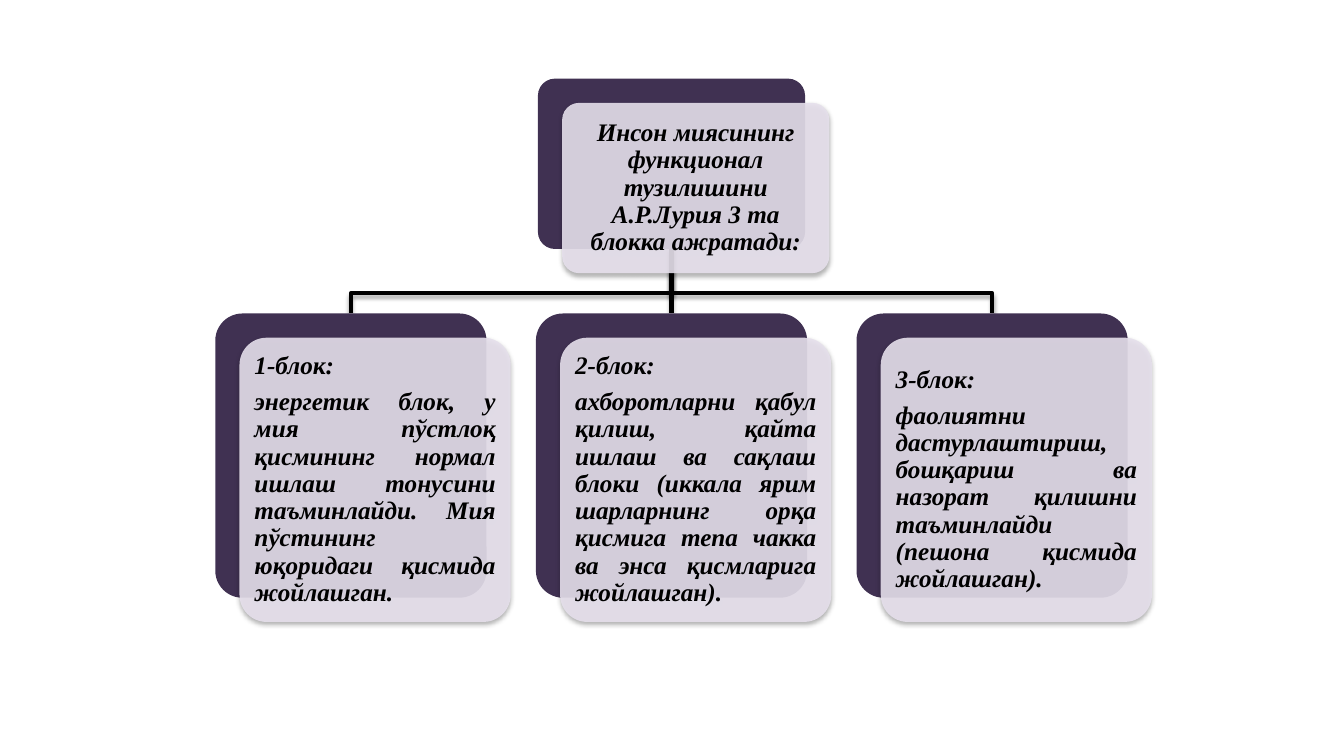
from lxml.etree import SubElement
from pptx import Presentation
from pptx.dml.color import RGBColor
from pptx.enum.shapes import MSO_CONNECTOR, MSO_SHAPE
from pptx.enum.text import MSO_ANCHOR, PP_ALIGN
from pptx.oxml.ns import qn
from pptx.util import Inches, Pt

BLACK = RGBColor(0x00, 0x00, 0x00)
PURPLE = RGBColor(0x40, 0x31, 0x52)
LILAC = RGBColor(0xE6, 0xE0, 0xEC)

CENTER = 6.66
BLOCK_STEP = 3.18
ROOT_TOP, ROOT_WIDTH, ROOT_HEIGHT = 0.78, 2.65, 1.69
BLOCK_TOP, BLOCK_WIDTH, BLOCK_HEIGHT = 3.11, 2.69, 2.82
BRANCH_Y = 2.91
CARD_OFFSET = 0.24

ROOT_TEXT = "Инсон миясининг функционал тузилишини А.Р.Лурия 3 та блокка ажратади:"
BLOCKS = [
    ["1-блок:",
     "энергетик блок, у мия пўстлоқ қисмининг нормал ишлаш тонусини "
     "таъминлайди. Мия пўстининг юқоридаги қисмида жойлашган."],
    ["2-блок:",
     "ахборотларни қабул қилиш, қайта ишлаш ва сақлаш блоки (иккала ярим "
     "шарларнинг орқа қисмига тепа чакка ва энса қисмларига жойлашган)."],
    ["3-блок:",
     "фаолиятни дастурлаштириш, бошқариш ва назорат қилишни таъминлайди "
     "(пешона қисмида жойлашган)."],
]


def set_shadow(shape, opacity=None, blur=0, distance=0):
    properties = shape._element.spPr
    effects = properties.find(qn("a:effectLst"))
    if effects is None:
        effects = SubElement(properties, qn("a:effectLst"))
    if opacity:
        shadow = SubElement(effects, qn("a:outerShdw"), blurRad=str(Pt(blur)),
                            dist=str(Pt(distance)), dir="5400000", rotWithShape="0")
        color = SubElement(shadow, qn("a:srgbClr"), val=str(BLACK))
        SubElement(color, qn("a:alpha"), val=str(opacity * 1000))


def style_line(line_shape):
    line_shape.line.color.rgb = BLACK
    line_shape.line.width = Pt(3)
    set_shadow(line_shape, 35, 3.1, 1.8)


def add_elbow(page, end_x):
    builder = page.shapes.build_freeform(Inches(CENTER), Inches(ROOT_TOP + ROOT_HEIGHT))
    corners = [(CENTER, BRANCH_Y), (end_x, BRANCH_Y), (end_x, BLOCK_TOP)]
    builder.add_line_segments([(Inches(x), Inches(y)) for x, y in corners], close=False)
    elbow = builder.convert_to_shape()
    elbow.fill.background()
    style_line(elbow)


def add_trunk(page):
    trunk = page.shapes.add_connector(
        MSO_CONNECTOR.STRAIGHT, Inches(CENTER), Inches(ROOT_TOP + ROOT_HEIGHT),
        Inches(CENTER), Inches(BLOCK_TOP))
    style_line(trunk)
    return trunk


def add_panel(page, left, top, width, height, color):
    panel = page.shapes.add_shape(MSO_SHAPE.ROUNDED_RECTANGLE, Inches(left),
                                  Inches(top), Inches(width), Inches(height))
    panel.adjustments[0] = 0.1
    panel.fill.solid()
    panel.fill.fore_color.rgb = color
    panel.line.fill.background()
    set_shadow(panel)
    return panel


def write_text(card, texts, alignment):
    frame = card.text_frame
    frame.word_wrap = True
    frame.vertical_anchor = MSO_ANCHOR.MIDDLE
    frame.margin_left = frame.margin_right = Inches(0.07)
    frame.margin_top = frame.margin_bottom = Inches(0.07)
    frame.text = "\n".join(texts)
    for para in frame.paragraphs:
        para.alignment = alignment
        para.line_spacing = 0.9
        para.space_after = Pt(6.3)
        for span in para.runs:
            span.font.name = "Times New Roman"
            span.font.size = Pt(18)
            span.font.bold = span.font.italic = True
            span.font.color.rgb = BLACK


def add_node(page, center, top, width, height, texts, alignment):
    left = center - width / 2
    back = add_panel(page, left, top, width, height, PURPLE)
    card = add_panel(page, left + CARD_OFFSET, top + CARD_OFFSET, width, height, LILAC)
    color = card._element.spPr.find(qn("a:solidFill"))[0]
    SubElement(color, qn("a:alpha"), val="90000")
    set_shadow(card, 32, 3.5, 2.2)
    write_text(card, texts, alignment)
    return back


def main():
    deck = Presentation()
    deck.slide_width, deck.slide_height = Inches(13.33), Inches(7.5)
    page = deck.slides.add_slide(deck.slide_layouts[6])

    centers = [CENTER + BLOCK_STEP * step for step in (-1, 0, 1)]
    add_elbow(page, centers[2])
    trunk = add_trunk(page)
    add_elbow(page, centers[0])

    root = add_node(page, CENTER, ROOT_TOP, ROOT_WIDTH, ROOT_HEIGHT,
                    [ROOT_TEXT], PP_ALIGN.CENTER)
    blocks = [add_node(page, center, BLOCK_TOP, BLOCK_WIDTH, BLOCK_HEIGHT,
                       texts, PP_ALIGN.JUSTIFY)
              for center, texts in zip(centers, BLOCKS)]
    trunk.begin_connect(root, 2)
    trunk.end_connect(blocks[1], 0)

    deck.save("out.pptx")


if __name__ == "__main__":
    main()
